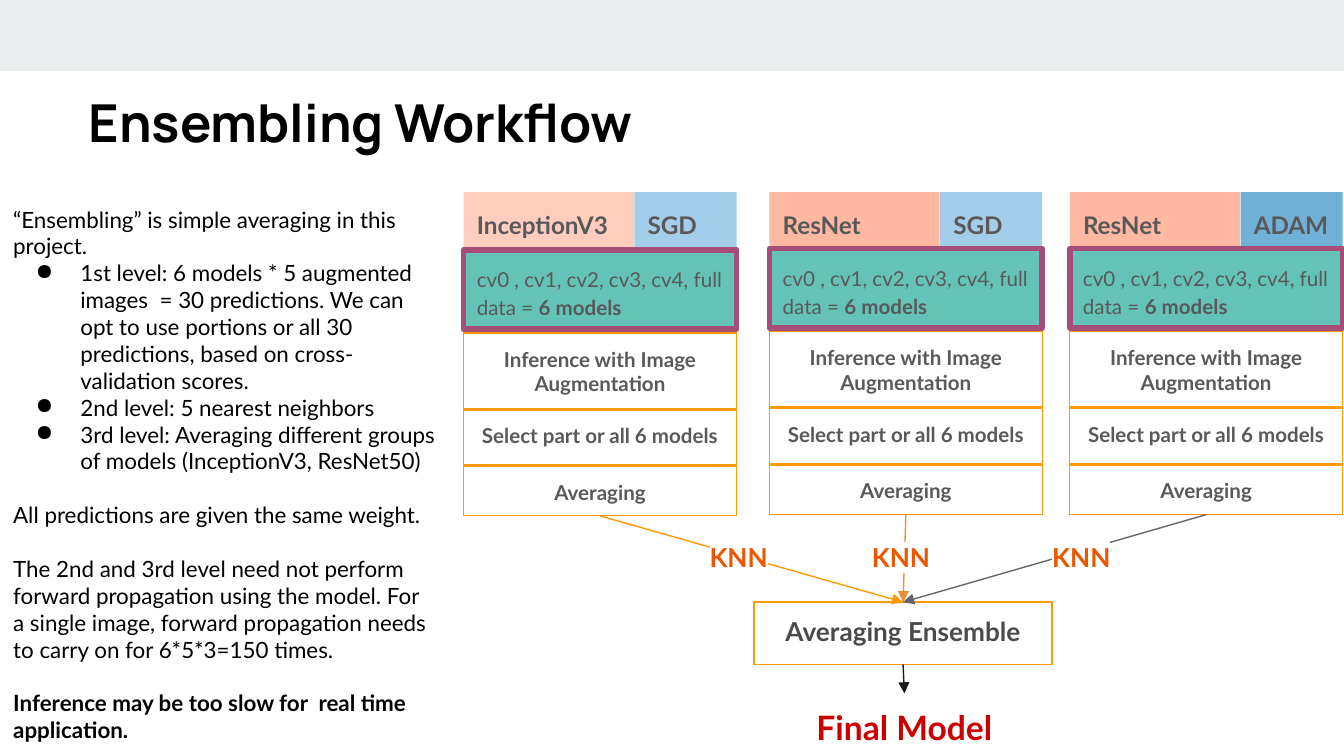
import pptx
import pptx.util
import pptx.dml.color
import pptx.enum.shapes
import pptx.enum.text
import pptx.oxml
import pptx.oxml.ns

Pt = pptx.util.Pt
RGB = pptx.dml.color.RGBColor.from_string
qn = pptx.oxml.ns.qn
ALIGN = pptx.enum.text.PP_ALIGN
RECT = pptx.enum.shapes.MSO_SHAPE.RECTANGLE
LINE = pptx.enum.shapes.MSO_CONNECTOR.STRAIGHT

THEME = {
    "font": "Lato", "head": "Manrope",
    "black": "000000", "white": "FFFFFF", "gray": "595959", "dark": "4B4B4B",
    "band": "E9EDEE", "peach": "FFB8A2", "teal": "1BA894", "plum": "A64D79",
    "sky": "76B6DF", "blue": "71B0D7", "gold": "FF9900", "knn": "EB5600",
    "red": "CC0000", "amber": "E69138", "ash": "666666", "ink": "1A1A1A",
    "title": 28, "final": 18, "big": 14, "mid": 13, "body": 12, "small": 11,
}

TITLE = "Ensembling Workflow"
NOTES = [
    {"text": "“Ensembling” is simple averaging in this project."},
    {"text": "1st level: 6 models * 5 augmented images  = 30 predictions. "
             "We can opt to use portions or all 30 predictions, "
             "based on cross-validation scores.", "dot": True},
    {"text": "2nd level: 5 nearest neighbors", "dot": True},
    {"text": "3rd level: Averaging different groups of models "
             "(InceptionV3, ResNet50)", "dot": True},
    {"text": "All predictions are given the same weight.", "gap": 14.4},
    {"text": "The 2nd and 3rd level need not perform forward propagation using "
             "the model. For a single image, forward propagation needs to carry "
             "on for 6*5*3=150 times.", "gap": 14.4},
    {"text": "Inference may be too slow for  real time application.",
     "gap": 14.4, "bold": True},
]
FOLDS = [("cv0 , cv1, cv2, cv3, cv4, full data = ", False), ("6 models", True)]
STEPS = [("Inference with Image Augmentation", 177.8, 40.3),
         ("Select part or all 6 models", 218.9, 29.5),
         ("Averaging", 249.1, 26.6)]
COLS = [
    {"left": 248.4, "drop": 0.7, "net": "InceptionV3", "clear": 70,
     "opt": "SGD", "tint": "sky", "fade": 67, "knn": 373, "line": "gold"},
    {"left": 412.2, "drop": 0, "net": "ResNet", "clear": 100,
     "opt": "SGD", "tint": "sky", "fade": 67, "knn": 460, "line": "amber"},
    {"left": 573.1, "drop": 0, "net": "ResNet", "clear": 100,
     "opt": "ADAM", "tint": "blue", "fade": 100, "knn": 556.6, "line": "ash"},
]
WIDE, NET, OPT = 146.2, 91.2, 54.7
TOP, HEAD = 103, 29.3


def add(parent, tag, **attrs):
    node = pptx.oxml.parse_xml(
        '<a:%s xmlns:a="http://schemas.openxmlformats.org/drawingml/2006/main"/>' % tag)
    for key, val in attrs.items():
        node.set(key, str(val))
    parent.append(node)
    return node


def write(shape, text, size="small", color="gray", font="font", bold=False,
          align=ALIGN.LEFT, space=None, after=0, mark=False):
    frame = shape.text_frame
    frame.word_wrap = True
    frame.auto_size = pptx.enum.text.MSO_AUTO_SIZE.NONE
    frame.vertical_anchor = pptx.enum.text.MSO_ANCHOR.TOP
    frame.margin_left = frame.margin_right = Pt(7.2)
    frame.margin_top = frame.margin_bottom = Pt(7.2)
    items = text if isinstance(text, list) else [{"text": text}]
    for num, item in enumerate(items):
        para = frame.add_paragraph() if num else frame.paragraphs[0]
        para.alignment = align
        para.line_spacing = space
        para.space_before = Pt(item.get("gap", 0))
        para.space_after = Pt(after)
        if item.get("dot"):
            props = para._p.get_or_add_pPr()
            props.set("marL", str(Pt(36)))
            props.set("indent", str(Pt(-24)))
            add(add(props, "buClr"), "srgbClr", val=THEME[color])
            add(props, "buChar", char="●")
        runs = item["text"]
        if isinstance(runs, str):
            runs = [(runs, item.get("bold", bold))]
        for words, heavy in runs:
            run = para.add_run()
            run.text = words
            run.font.size = Pt(THEME[size])
            run.font.bold = heavy
            run.font.color.rgb = RGB(THEME[color])
            if mark:
                add(add(run._r.get_or_add_rPr(), "highlight"), "srgbClr", val=THEME["white"])
            run.font.name = THEME[font]


def box(slide, left, top, wide, high, fill=None, line=None, thick=0.75, alpha=100):
    shape = slide.shapes.add_shape(RECT, Pt(left), Pt(top), Pt(wide), Pt(high))
    shape.shadow.inherit = False
    if fill:
        shape.fill.solid()
        shape.fill.fore_color.rgb = RGB(THEME[fill])
        if alpha < 100:
            tint = shape._element.spPr.find(qn("a:solidFill"))[0]
            add(tint, "alpha", val=alpha * 1000)
    else:
        shape.fill.background()
    if line:
        shape.line.color.rgb = RGB(THEME[line])
        shape.line.width = Pt(thick)
    else:
        shape.line.fill.background()
    return shape


def label(slide, left, top, wide, high, text, **fmt):
    shape = slide.shapes.add_textbox(Pt(left), Pt(top), Pt(wide), Pt(high))
    write(shape, text, **fmt)
    return shape


def arrow(slide, start, end, color):
    wire = slide.shapes.add_connector(LINE, 0, 0, 0, 0)
    wire.begin_connect(start, 2)
    wire.end_connect(end, 0)
    wire.line.color.rgb = RGB(THEME[color])
    wire.line.width = Pt(0.75)
    add(wire.line._get_or_add_ln(), "tailEnd", type="triangle")
    add(wire._element.spPr, "effectLst")


def column(slide, col):
    left = col["left"]
    lead = {"size": "mid", "bold": True, "space": 1.15, "after": 16}
    net = box(slide, left, TOP, NET, HEAD, "peach", alpha=col["clear"])
    write(net, col["net"], **lead)
    opt = box(slide, left + WIDE - OPT, TOP, OPT, HEAD, col["tint"], alpha=col["fade"])
    write(opt, col["opt"], **lead)
    folds = box(slide, left, 133.2 + col["drop"], WIDE, 42.5, "teal", "plum", 3, 68)
    write(folds, [{"text": FOLDS}], space=1.15, after=16)
    for text, top, high in STEPS:
        step = box(slide, left, top + col["drop"], WIDE, high, line="gold")
        write(step, text, bold=True, align=ALIGN.CENTER)
    return step


def main():
    deck = pptx.Presentation()
    deck.slide_width, deck.slide_height = Pt(720), Pt(405)
    slide = deck.slides.add_slide(deck.slide_layouts[5])
    box(slide, 0, 0, 720, 38.2, "band")

    title = slide.shapes.title
    title.left, title.top, title.width, title.height = Pt(40.3), Pt(41), Pt(605.5), Pt(42.5)
    write(title, TITLE, size="title", color="black", font="head", bold=True)
    label(slide, 0, TOP, 240.5, 297.4, NOTES, size="body", color="black")

    merge = box(slide, 403.9, 322.6, 159.8, 33.4, line="gold")
    write(merge, "Averaging Ensemble", size="big", color="dark", bold=True, align=ALIGN.CENTER)
    final = label(slide, 404.6, 371.5, 159.8, 33.1, "Final Model", size="final",
                  color="red", bold=True, align=ALIGN.CENTER)
    arrow(slide, merge, final, "ink")

    for col in COLS:
        arrow(slide, column(slide, col), merge, col["line"])
    for col in COLS:
        label(slide, col["knn"], 283, 51.8, 33.1, "KNN", size="big",
              color="knn", bold=True, mark=True)
    deck.save("out.pptx")


if __name__ == "__main__":
    main()
